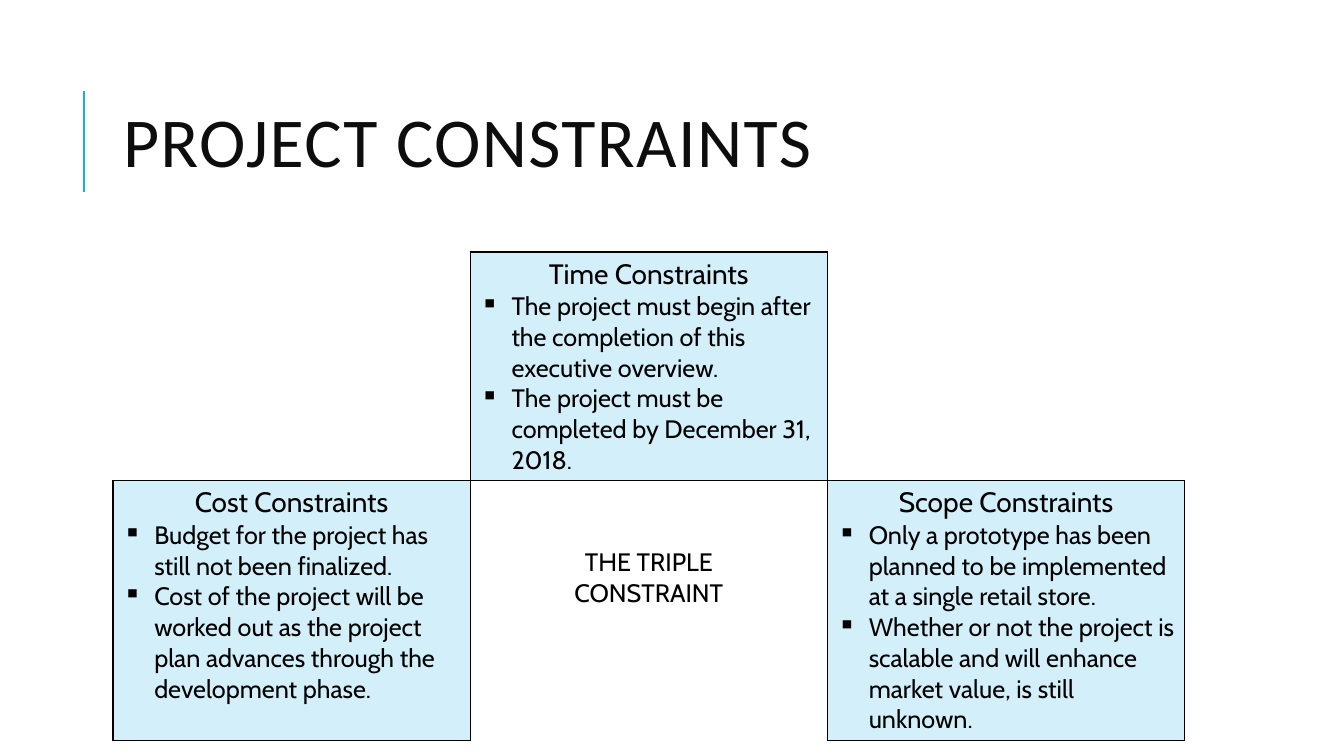
from lxml.etree import SubElement
from pptx import Presentation
from pptx.dml.color import RGBColor
from pptx.enum.shapes import MSO_CONNECTOR as Connector
from pptx.enum.text import MSO_ANCHOR as Anchor, MSO_AUTO_SIZE as AutoSize, PP_ALIGN as Align
from pptx.oxml.ns import qn
from pptx.util import Inches, Pt

BLACK, DARK, BLUE, PALE = "000000", "0D0D0D", "1CADE4", "D2EFFA"
LEFT, WIDTH = 1.12, 10.63
ROW_HEIGHTS = (2.27, 2.58)

# (row, column): heading and bullets
CONSTRAINTS = {
    (0, 1): ("Time Constraints", [
        "The project must begin after the completion of this executive overview.",
        "The project must be completed by December 31, 2018."]),
    (1, 0): ("Cost Constraints", [
        "Budget for the project has still not been finalized.",
        "Cost of the project will be worked out as the project plan advances "
        "through the development phase."]),
    (1, 2): ("Scope Constraints", [
        "Only a prototype has been planned to be implemented at a single retail store.",
        "Whether or not the project is scalable and will enhance market value, "
        "is still unknown."]),
}
CENTER = (1, 1)
# Sides that carry a line in the cells that are not boxed all round
OPEN_SIDES = {(0, 0): "RB", (0, 2): "LB", CENTER: "LRT"}


def color(value):
    """Turn a hex string into a colour."""
    return RGBColor.from_string(value)


def format_text(para, size, font, ink):
    """Format every run of a paragraph."""
    for span in para.runs:
        span.font.size = Pt(size)
        span.font.name = font
        span.font.color.rgb = color(ink)


def add_title(page, text):
    """Fill and place the title placeholder."""
    box = page.shapes.title
    box.left, box.top = Inches(LEFT), Inches(0.64)
    box.width, box.height = Inches(WIDTH), Inches(1.64)
    frame = box.text_frame
    frame.text = text
    frame.auto_size = AutoSize.NONE
    frame.vertical_anchor = Anchor.MIDDLE
    para = frame.paragraphs[0]
    para.alignment = Align.LEFT
    para.line_spacing = 0.8
    format_text(para, 50, "Calibri", DARK)
    para.runs[0].font._element.set("spc", "100")


def add_accent(page):
    """Draw the upright line beside the title."""
    line = page.shapes.add_connector(
        Connector.STRAIGHT, Inches(0.83), Inches(1.9), Inches(0.83), Inches(0.9))
    line.line.color.rgb = color(BLUE)
    line.line.width = Pt(1.5)
    SubElement(line._element.spPr, qn("a:effectLst"))


def set_borders(cell, sides):
    """Draw the named sides of a cell and clear the others."""
    properties = cell._tc.get_or_add_tcPr()
    for side in "LRTB":
        border = SubElement(properties, qn(f"a:ln{side}"), w=str(Pt(1)))
        if side in sides:
            fill = SubElement(border, qn("a:solidFill"))
            SubElement(fill, qn("a:srgbClr"), val=BLACK)
        else:
            SubElement(border, qn("a:noFill"))


def add_bullet(para):
    """Give a paragraph a square bullet with a hanging indent."""
    properties = para._p.get_or_add_pPr()
    indent = Inches(0.31)
    properties.set("marL", str(indent))
    properties.set("indent", str(-indent))
    SubElement(properties, qn("a:buChar"), char="▪")


def fill_constraint(cell, heading, bullets):
    """Write a centred heading and its bullets into a shaded cell."""
    cell.text_frame.text = "\n".join([heading, *bullets])
    first, *others = cell.text_frame.paragraphs
    first.alignment = Align.CENTER
    format_text(first, 20, "Cabin", BLACK)
    for para in others:
        add_bullet(para)
        format_text(para, 18, "Cabin", BLACK)
    cell.fill.solid()
    cell.fill.fore_color.rgb = color(PALE)


def fill_center(cell, text):
    """Write the label of the middle cell, lowered by its top margin."""
    cell.margin_top = Inches(0.66)
    cell.text_frame.text = text
    for para in cell.text_frame.paragraphs:
        para.alignment = Align.CENTER
        format_text(para, 18, "Cabin", BLACK)


def add_constraint_table(page):
    """Build the table of the three constraints around their label."""
    table = page.shapes.add_table(
        2, 3, Inches(LEFT), Inches(2.5), Inches(WIDTH), Inches(sum(ROW_HEIGHTS))).table
    table.first_row = table.horz_banding = False
    for row, height in zip(table.rows, ROW_HEIGHTS):
        row.height = Inches(height)
    for row in range(2):
        for column in range(3):
            place, cell = (row, column), table.cell(row, column)
            set_borders(cell, OPEN_SIDES.get(place, "LRTB"))
            if place in CONSTRAINTS:
                fill_constraint(cell, *CONSTRAINTS[place])
            else:
                cell.fill.background()
    fill_center(table.cell(*CENTER), "THE TRIPLE\nCONSTRAINT")


def main():
    """Build the slide and save it."""
    deck = Presentation()
    deck.slide_width, deck.slide_height = Inches(13.33), Inches(7.5)
    page = deck.slides.add_slide(deck.slide_layouts[5])
    add_accent(page)
    add_title(page, "PROJECT CONSTRAINTS")
    add_constraint_table(page)
    deck.save("out.pptx")


main()
